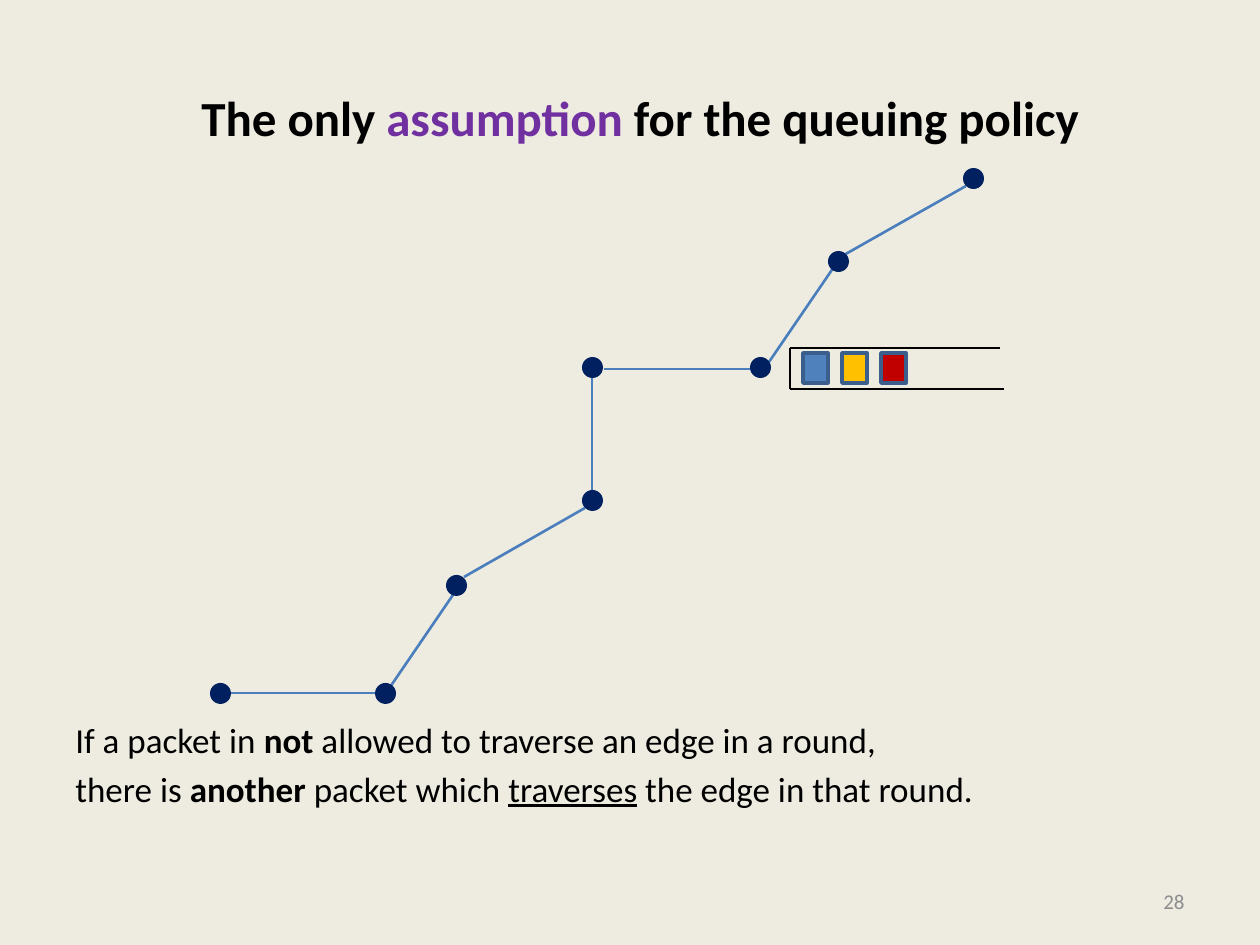
from pptx import Presentation, util as u
from pptx.dml.color import RGBColor
from pptx.enum import shapes, text
from pptx.oxml.ns import qn
from lxml import etree

CREAM = RGBColor(0xEE, 0xEC, 0xE1)
BLACK = RGBColor(0, 0, 0)
PURPLE = RGBColor(0x70, 0x30, 0xA0)
GREY = RGBColor(0x8C, 0x8C, 0x8C)
NAVY = RGBColor(0, 0x20, 0x60)
EDGE = RGBColor(0x4B, 0x7E, 0xBC)
BLUE = RGBColor(0x4F, 0x81, 0xBD)
RIM = RGBColor(0x3A, 0x5F, 0x8C)
GOLD = RGBColor(0xFF, 0xC0, 0)
RED = RGBColor(0xC0, 0, 0)

SHAPE = shapes.MSO_SHAPE
ALIGN = text.PP_ALIGN
ANCHOR = text.MSO_ANCHOR


def px(*nums):
    return [u.Emu(n * 914400 // 126) for n in nums]


class Deck:
    """Draws styled elements on the current slide, with lengths in px."""

    face = "Calibri"

    def __init__(self):
        self.prs = Presentation()
        self.prs.slide_width, self.prs.slide_height = px(1260, 945)
        self.slide = self.prs.slides.add_slide(self.prs.slide_layouts[5])
        fill = self.slide.background.fill
        fill.solid()
        fill.fore_color.rgb = CREAM

    def fit(self, para, runs, size, color, align):
        para.alignment = align
        font = para.font
        font.name, font.size, font.color.rgb = self.face, u.Pt(size), color
        for words, style in runs:
            run = para.add_run()
            run.text = words
            run.font.bold = "b" in style
            if "u" in style:
                run.font.underline = True
            if "p" in style:
                run.font.color.rgb = PURPLE

    def title(self, box, runs):
        head = self.slide.shapes.title
        head.left, head.top, head.width, head.height = px(*box)
        head.text_frame.vertical_anchor = ANCHOR.MIDDLE
        self.fit(head.text_frame.paragraphs[0], runs, 28, BLACK, ALIGN.CENTER)

    def label(self, box, lines, size, color, align=ALIGN.LEFT, anchor=ANCHOR.TOP):
        frame = self.slide.shapes.add_textbox(*px(*box)).text_frame
        frame.word_wrap = True
        frame.vertical_anchor = anchor
        for i, runs in enumerate(lines):
            para = frame.add_paragraph() if i else frame.paragraphs[0]
            if i:
                para.space_before = u.Pt(4)
            self.fit(para, runs, size, color, align)

    def shape(self, kind, box, color, rim=None):
        item = self.slide.shapes.add_shape(kind, *px(*box))
        item.shadow.inherit = False
        item.fill.solid()
        item.fill.fore_color.rgb = color
        if rim:
            item.line.color.rgb = rim
            item.line.width = u.Pt(2)
        else:
            item.line.fill.background()

    def line(self, ends, color, width):
        item = self.slide.shapes.add_connector(
            shapes.MSO_CONNECTOR.STRAIGHT, *px(*ends))
        item.line.color.rgb = color
        item.line.width = u.Pt(width)
        etree.SubElement(item._element.spPr, qn("a:effectLst"))


def main():
    deck = Deck()
    deck.title((73, 38, 1134, 158), [
        ("The only ", "b"), ("assumption", "bp"), (" for the queuing policy", "b")])
    deck.label((63, 712, 1134, 110), [
        [("If a packet in ", ""), ("not", "b"),
         (" allowed to traverse an edge in a round,", "")],
        [("there is ", ""), ("another", "b"), (" packet which ", ""),
         ("traverses", "u"), (" the edge in that round.", "")],
    ], 20, BLACK)
    deck.label((903, 876, 294, 50), [[("28", "")]], 12, GREY,
               ALIGN.RIGHT, ANCHOR.MIDDLE)

    edges = [
        (376, 693, 228, 693), (386, 693, 455, 592), (464, 577, 585, 508),
        (592, 494, 592, 378), (750, 369, 604, 369), (769, 362, 838, 261),
        (844, 255, 966, 186)]
    for ends in edges:
        deck.line(ends, EDGE, 1.5)

    nodes = [(210, 683), (375, 683), (446, 575), (582, 490),
             (582, 357), (750, 357), (828, 251), (963, 168)]
    for x, y in nodes:
        deck.shape(SHAPE.OVAL, (x, y, 21, 21), NAVY)

    for i, color in enumerate((BLUE, GOLD, RED)):
        deck.shape(SHAPE.RECTANGLE, (803 + 39 * i, 353, 25, 30), color, RIM)

    queue = [(790, 348, 1000, 348), (790, 389, 1004, 389), (790, 389, 790, 348)]
    for ends in queue:
        deck.line(ends, BLACK, 0.75)

    deck.prs.save("out.pptx")


if __name__ == "__main__":
    main()
